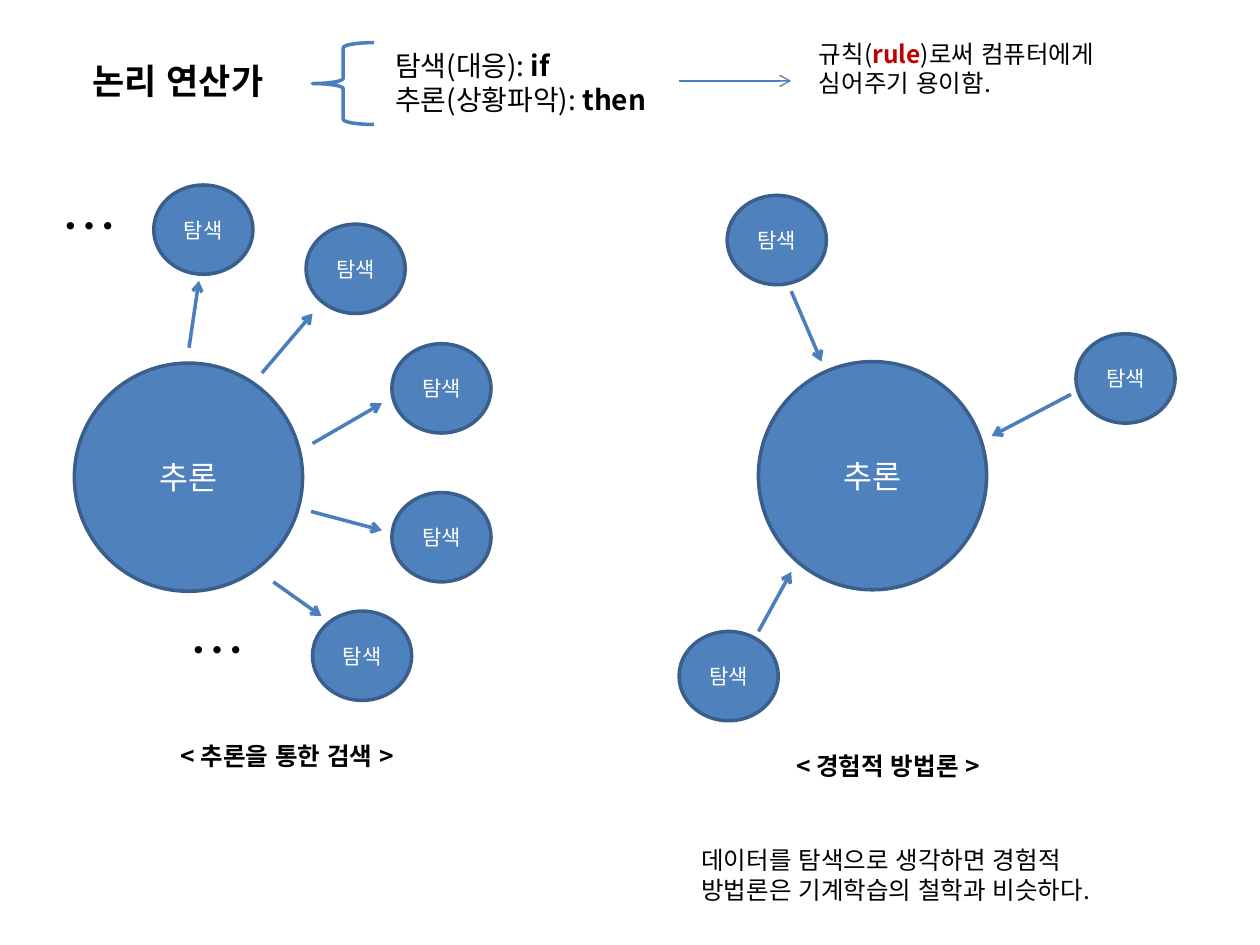
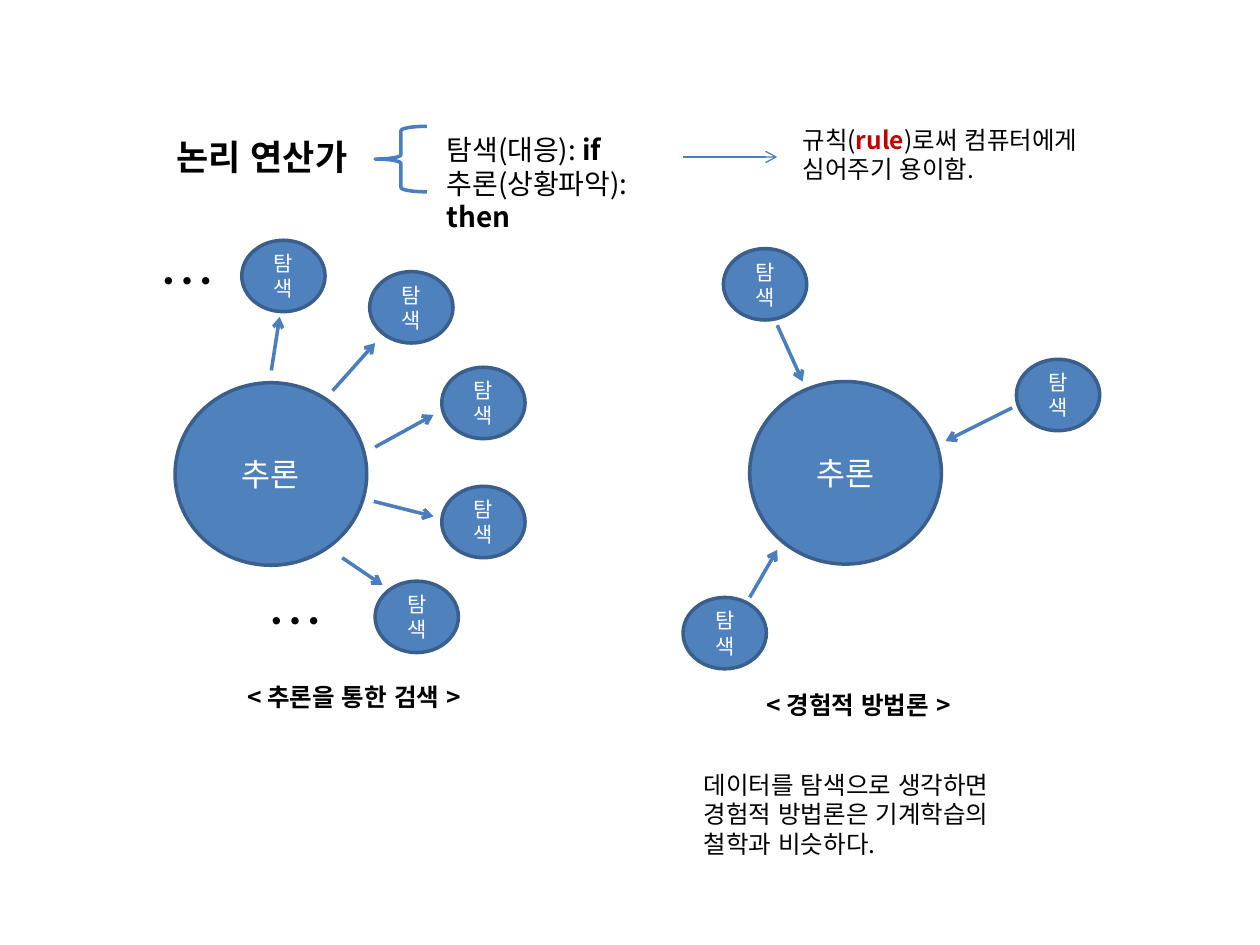
from lxml import etree
from pptx import Presentation
from pptx.dml.color import RGBColor
from pptx.enum.lang import MSO_LANGUAGE_ID as Lang
from pptx.enum.shapes import MSO_CONNECTOR as Connector, MSO_SHAPE as Shape
from pptx.enum.text import MSO_ANCHOR as Anchor, MSO_AUTO_SIZE as AutoSize, PP_ALIGN as Align
from pptx.oxml.ns import qn
from pptx.util import Cm, Pt

FONT = "Noto Sans CJK KR"
BLACK = RGBColor(0x00, 0x00, 0x00)
WHITE = RGBColor(0xFF, 0xFF, 0xFF)
RED = RGBColor(0xC0, 0x00, 0x00)
CIRCLE_FILL = RGBColor(0x4F, 0x81, 0xBD)
CIRCLE_EDGE = RGBColor(0x3A, 0x5F, 0x8C)
ARROW_BLUE = RGBColor(0x4B, 0x7E, 0xBC)

# Content: places are in cm; boxes are (left, top, width, height)
TITLE = ("논리 연산가", (0.69, 1.12, 5.79, 0.99))
BRACE = (6.3, 0.86, 1.24, 1.65)
RULE_ARROW = (13.69, 1.63, 15.95, 1.63)

# A paragraph is a list of (words, format) runs
BOLD = {"bold": True}
NOTES = [
    ((7.72, 0.86, 6.58, 1.63), 16, [
        [("탐색(대응): ", {}), ("if", BOLD)],
        [("추론(상황파악): ", {}), ("then", BOLD)]]),
    ((16.26, 0.66, 7.65, 1.45), 14, [
        [("규칙(", {}), ("rule", {"bold": True, "color": RED}),
         (")로써 컴퓨터에게 심어주기 용이함.", {})]]),
    ((13.89, 16.92, 8.99, 1.45), 14, [
        [("데이터를 탐색으로 생각하면 경험적 방법론은 기계학습의 철학과 비슷하다.", {})]]),
]

HUB, HUB_SIZE = "추론", (4.6, 4.6)
NODE, NODE_SIZE = "탐색", (2.0, 1.8)
DOTS, DOTS_SIZE = "…", (2.59, 1.63)
CAPTION_SIZE = (5.79, 0.99)

# Each spoke is a node's corner and its arrow (from x, y, to x, y)
DIAGRAMS = [
    {"hub": (1.5, 7.32),
     "spokes": [((3.1, 3.73), (3.81, 7.01, 4.01, 5.66)),
                ((6.17, 4.52), (5.28, 7.52, 6.3, 6.32)),
                ((7.9, 6.93), (6.3, 8.94, 7.7, 8.13)),
                ((7.9, 9.93), (6.27, 10.31, 7.7, 10.69)),
                ((6.3, 12.32), (5.51, 11.73, 6.48, 12.42))],
     "dots": [(0.51, 3.73), (3.1, 12.29)],
     "caption": ("< 추론을 통한 검색 >", (2.9, 14.73))},
    {"hub": (15.29, 7.29),
     "spokes": [((14.66, 3.94), (15.95, 5.87, 16.56, 7.29)),
                ((21.69, 6.73), (21.59, 7.95, 19.99, 8.79)),
                ((13.69, 12.73), (15.29, 12.73, 15.95, 11.53))],
     "dots": [],
     "caption": ("< 경험적 방법론 >", (15.01, 14.94))},
]

# The same drawing on each slide: (x offset, y offset, x scale, y scale)
FRAMES = [(0, 0, 1, 1), (2.27, 1.86, 0.84, 0.8)]


class Board:
    """A slide whose parts are all placed through one frame."""

    def __init__(self, slide, frame):
        self.shapes, self.frame = slide.shapes, frame

    def point(self, x, y):
        dx, dy, sx, sy = self.frame
        return Cm(dx + x * sx), Cm(dy + y * sy)

    def box(self, left, top, width, height):
        sx, sy = self.frame[2:]
        return *self.point(left, top), Cm(width * sx), Cm(height * sy)

    def put_text(self, shape, paragraphs, size, align=Align.LEFT, **frame_format):
        text = shape.text_frame
        settings = {"word_wrap": True, "auto_size": AutoSize.NONE,
                    "vertical_anchor": Anchor.MIDDLE, **frame_format}
        for name, value in settings.items():
            setattr(text, name, value)
        for index, runs in enumerate(paragraphs):
            paragraph = text.add_paragraph() if index else text.paragraphs[0]
            paragraph.alignment = align
            for words, look in runs:
                run = paragraph.add_run()
                run.text = words
                look = {"color": BLACK, "bold": False, **look}
                run.font.color.rgb = look["color"]
                values = {"name": FONT, "size": Pt(size), "bold": look["bold"],
                          "language_id": Lang.KOREAN}
                for name, value in values.items():
                    setattr(run.font, name, value)
                latin = run.font._element.find(qn("a:latin"))
                latin.addnext(etree.Element(qn("a:ea"), typeface=FONT))

    def title(self, words, place):
        title = self.shapes.title
        title.left, title.top, title.width, title.height = self.box(*place)
        self.put_text(title, [[(words, BOLD)]], 20, Align.CENTER)

    def note(self, place, paragraphs, size, align=Align.LEFT, **frame_format):
        note = self.shapes.add_textbox(*self.box(*place))
        self.put_text(note, paragraphs, size, align, **frame_format)

    def circle(self, corner, extent, words, size):
        circle = self.shapes.add_shape(Shape.OVAL, *self.box(*corner, *extent))
        circle.shadow.inherit = False
        circle.fill.solid()
        circle.fill.fore_color.rgb = CIRCLE_FILL
        circle.line.color.rgb = CIRCLE_EDGE
        circle.line.width = Pt(2)
        self.put_text(circle, [[(words, {"color": WHITE})]], size, Align.CENTER)

    def arrow(self, ends, width=2):
        arrow = self.shapes.add_connector(
            Connector.STRAIGHT, *self.point(*ends[:2]), *self.point(*ends[2:]))
        arrow.line.color.rgb = ARROW_BLUE
        arrow.line.width = Pt(width)
        properties = arrow._element.spPr
        etree.SubElement(properties.find(qn("a:ln")), qn("a:tailEnd"), type="arrow")
        etree.SubElement(properties, qn("a:effectLst"))

    def brace(self, place):
        brace = self.shapes.add_shape(Shape.LEFT_BRACE, *self.box(*place))
        brace.shadow.inherit = False
        brace.fill.background()
        brace.line.color.rgb = ARROW_BLUE
        brace.line.width = Pt(2)

    def diagram(self, hub, spokes, dots, caption):
        for corner, ends in spokes:
            self.arrow(ends)
            self.circle(corner, NODE_SIZE, NODE, 12)
        self.circle(hub, HUB_SIZE, HUB, 18)
        for corner in dots:
            self.note((*corner, *DOTS_SIZE), [[(DOTS, {})]], 32, Align.CENTER,
                      vertical_anchor=Anchor.TOP, auto_size=AutoSize.SHAPE_TO_FIT_TEXT)
        words, corner = caption
        self.note((*corner, *CAPTION_SIZE), [[(words, BOLD)]], 14, Align.CENTER)


def main():
    deck = Presentation()
    deck.slide_width, deck.slide_height = Cm(25.4), Cm(19.05)
    title_only = deck.slide_layouts[5]
    for frame in FRAMES:
        board = Board(deck.slides.add_slide(title_only), frame)
        # Heading row
        board.title(*TITLE)
        board.brace(BRACE)
        board.arrow(RULE_ARROW, 0.75)
        for place, size, paragraphs in NOTES:
            board.note(place, paragraphs, size, vertical_anchor=Anchor.TOP,
                       auto_size=AutoSize.SHAPE_TO_FIT_TEXT)
        # Hub diagrams
        for parts in DIAGRAMS:
            board.diagram(**parts)
    deck.save("out.pptx")


if __name__ == "__main__":
    main()
